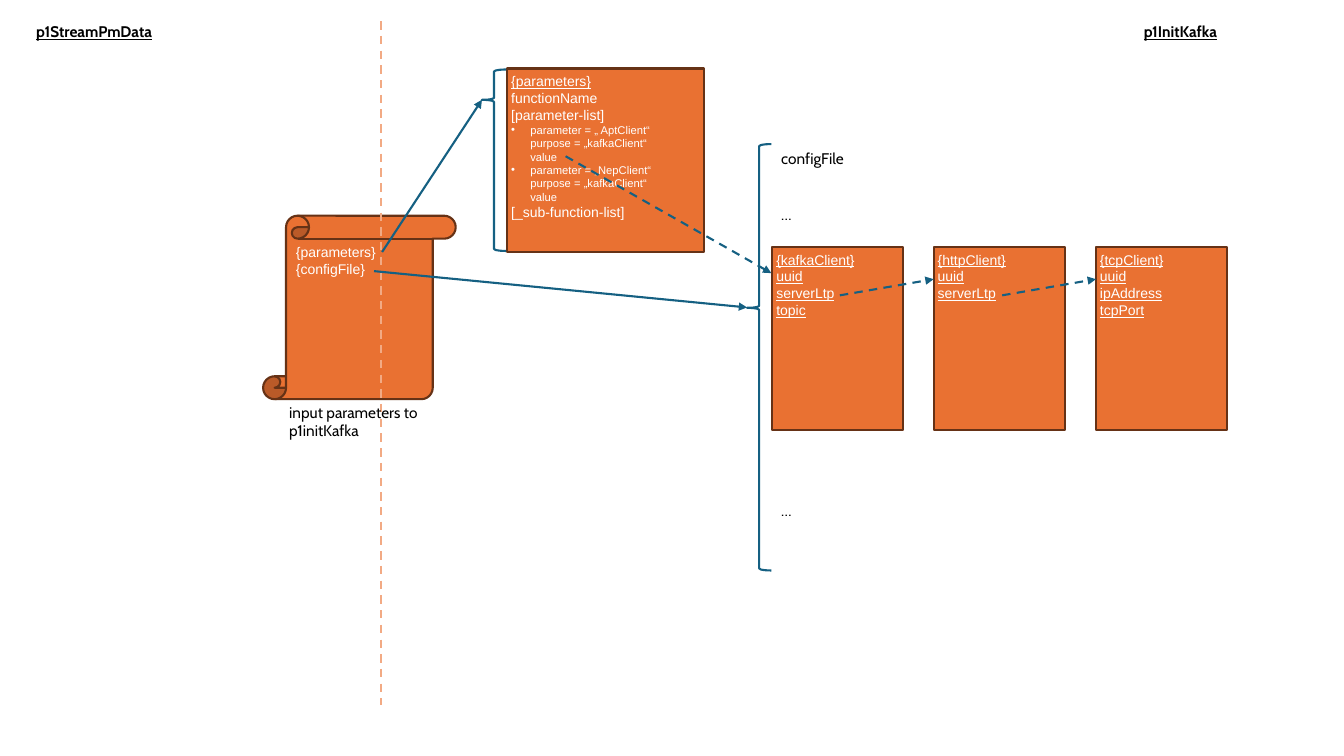
from lxml import etree
from pptx import Presentation
from pptx.dml.color import RGBColor
from pptx.enum.dml import MSO_LINE
from pptx.enum.shapes import MSO_CONNECTOR, MSO_SHAPE as SHAPE
from pptx.enum.text import MSO_ANCHOR, MSO_AUTO_SIZE, PP_ALIGN
from pptx.oxml.ns import qn
from pptx.util import Inches, Pt

COLORS = {"box": "E97132", "border": "663216", "link": "156082",
          "divider": "F2AA84", "white": "FFFFFF", "black": "000000"}


def rgb(name):
    return RGBColor.from_string(COLORS[name])


def add_text(p, text, size, font, color, underline=False, bold=False):
    """Add the lines of text to a paragraph, one run per line."""
    for i, line in enumerate(text.split("\n")):
        if i:
            p.add_line_break()
        r = p.add_run()
        r.text = line
        r.font.name = font
        r.font.size = Pt(size)
        r.font.color.rgb = rgb(color)
        r.font.underline = underline
        r.font.bold = bold


prs = Presentation()
prs.slide_width, prs.slide_height = Inches(13.33), Inches(7.5)
s = prs.slides.add_slide(prs.slide_layouts[6])

# Filled boxes: preset, left, top, width, inset, paragraphs (text, size, underlined, bulleted)
BOX_HEIGHT = 1.82
boxes = [
    (SHAPE.VERTICAL_SCROLL, 2.61, 2.14, 1.91, None,
     [("{parameters} {configFile}", 10, False, False)]),
    (SHAPE.RECTANGLE, 5.03, 0.68, 1.95, 0.04, [
        ("{parameters}", 10, True, False),
        ("functionName", 10, False, False),
        ("[parameter-list]", 10, False, False),
        ("parameter = „ AptClient“\npurpose = „kafkaClient“\nvalue", 8, False, True),
        ("parameter = „NepClient“\npurpose = „kafkaClient“\nvalue", 8, False, True),
        ("[_sub-function-list]", 10, False, False)]),
]
clients = [
    (7.66, ["{kafkaClient}", "uuid", "serverLtp", "topic"]),
    (9.26, ["{httpClient}", "uuid", "serverLtp"]),
    (10.87, ["{tcpClient}", "uuid", "ipAddress", "tcpPort"]),
]
for left, fields in clients:
    boxes.append((SHAPE.RECTANGLE, left, 2.45, 1.3, 0.04,
                  [(field, 10, True, False) for field in fields]))

for preset, left, top, width, inset, paragraphs in boxes:
    sp = s.shapes.add_shape(preset, Inches(left), Inches(top), Inches(width), Inches(BOX_HEIGHT))
    sp.shadow.inherit = False
    sp.fill.solid()
    sp.fill.fore_color.rgb = rgb("box")
    sp.line.color.rgb = rgb("border")
    sp.line.width = Pt(1.5)
    tf = sp.text_frame
    tf.word_wrap = True
    tf.vertical_anchor = MSO_ANCHOR.TOP
    if inset is not None:
        tf.margin_left = tf.margin_top = Inches(inset)
        tf.margin_right = tf.margin_bottom = 0
    for i, (text, size, underline, bulleted) in enumerate(paragraphs):
        p = tf.add_paragraph() if i else tf.paragraphs[0]
        p.alignment = PP_ALIGN.LEFT
        if bulleted:
            pPr = p._p.get_or_add_pPr()
            pPr.set("marL", str(Inches(0.19)))
            pPr.set("indent", str(-Inches(0.19)))
            etree.SubElement(pPr, qn("a:buFont")).set("typeface", "Arial")
            etree.SubElement(pPr, qn("a:buChar")).set("char", "•")
        add_text(p, text, size, "Arial", "white", underline)

# Braces: left, top, height, position of the tip
for left, top, height, tip in [(4.78, 0.69, 1.8, 0.167), (7.41, 1.43, 4.23, 0.384)]:
    sp = s.shapes.add_shape(SHAPE.LEFT_BRACE, Inches(left), Inches(top), Inches(0.24), Inches(height))
    sp.shadow.inherit = False
    sp.fill.background()
    sp.line.color.rgb = rgb("link")
    sp.line.width = Pt(1.5)
    sp.adjustments[0] = 0.083
    sp.adjustments[1] = tip

# Lines: start, end, colour, dashed, arrowhead
lines = [
    ((5.61, 1.55), (7.65, 2.71), "link", True, True),
    ((8.33, 2.93), (9.26, 2.77), "link", True, True),
    ((9.94, 2.93), (10.87, 2.77), "link", True, True),
    ((3.78, 0.21), (3.78, 6.99), "divider", True, False),
    ((3.79, 2.5), (4.78, 0.99), "link", False, True),
    ((3.71, 2.69), (7.41, 3.05), "link", False, True),
]
for start, end, color, dashed, arrow in lines:
    cx = s.shapes.add_connector(MSO_CONNECTOR.STRAIGHT, *map(Inches, start + end))
    cx.line.color.rgb = rgb(color)
    cx.line.width = Pt(1.5)
    if dashed:
        cx.line.dash_style = MSO_LINE.DASH
    if arrow:
        etree.SubElement(cx.line._get_or_add_ln(), qn("a:tailEnd")).set("type", "triangle")
    etree.SubElement(cx._element.spPr, qn("a:effectLst"))

# Labels: left, top, width, height, alignment, heading, paragraphs (text, points before)
labels = [
    (2.77, 3.95, 1.51, 0.47, PP_ALIGN.LEFT, False,
     [("input parameters to", 0), ("p1initKafka", 0)]),
    (0.26, 0.17, 1.45, 0.29, PP_ALIGN.LEFT, True, [("p1StreamPmData", 0)]),
    (11.16, 0.17, 1.01, 0.29, PP_ALIGN.RIGHT, True, [("p1InitKafka", 0)]),
    (7.65, 1.43, 0.85, 3.8, PP_ALIGN.LEFT, False,
     [("configFile", 0), ("…", 27), ("…", 198)]),
]
for left, top, width, height, align, heading, paragraphs in labels:
    sp = s.shapes.add_textbox(Inches(left), Inches(top), Inches(width), Inches(height))
    tf = sp.text_frame
    tf.word_wrap = False
    tf.auto_size = MSO_AUTO_SIZE.SHAPE_TO_FIT_TEXT
    for i, (text, before) in enumerate(paragraphs):
        p = tf.add_paragraph() if i else tf.paragraphs[0]
        p.alignment = align
        if before:
            p.space_before = Pt(before)
        add_text(p, text, 11, "Cabin", "black", heading, heading)

prs.save("out.pptx")
